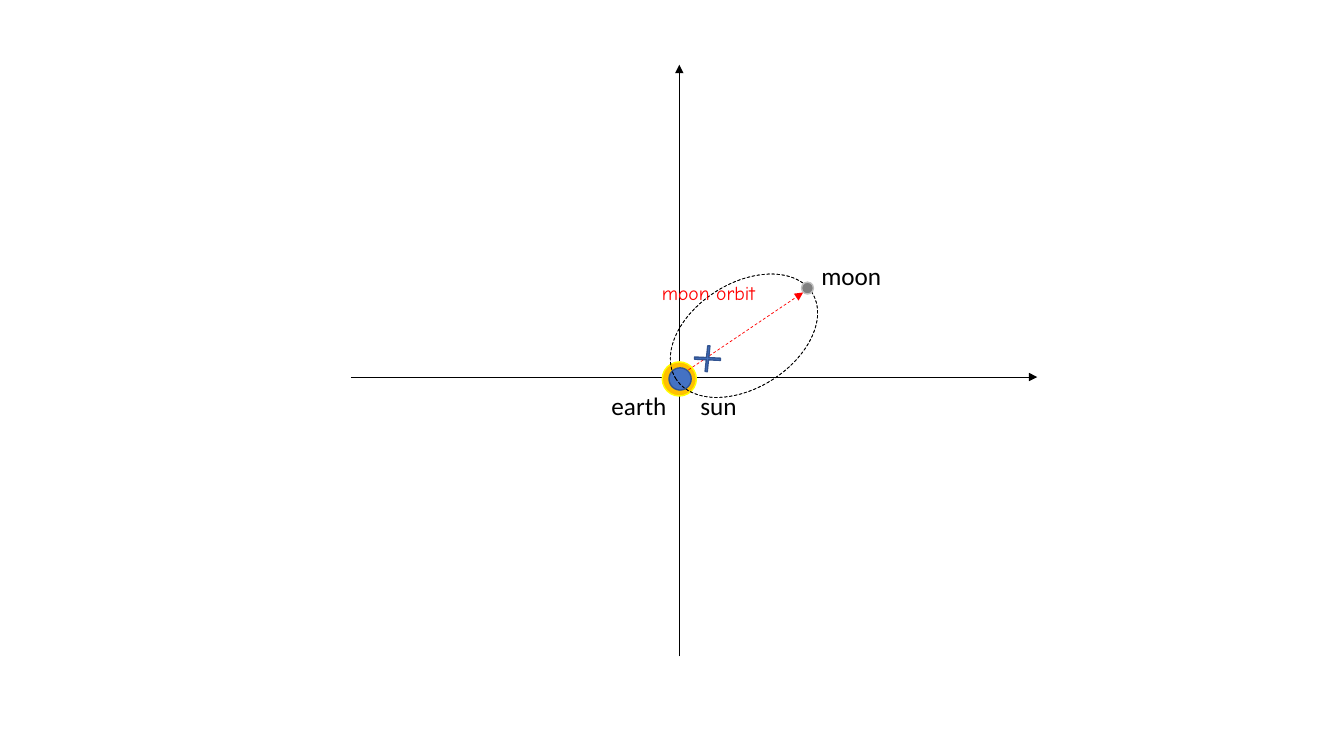
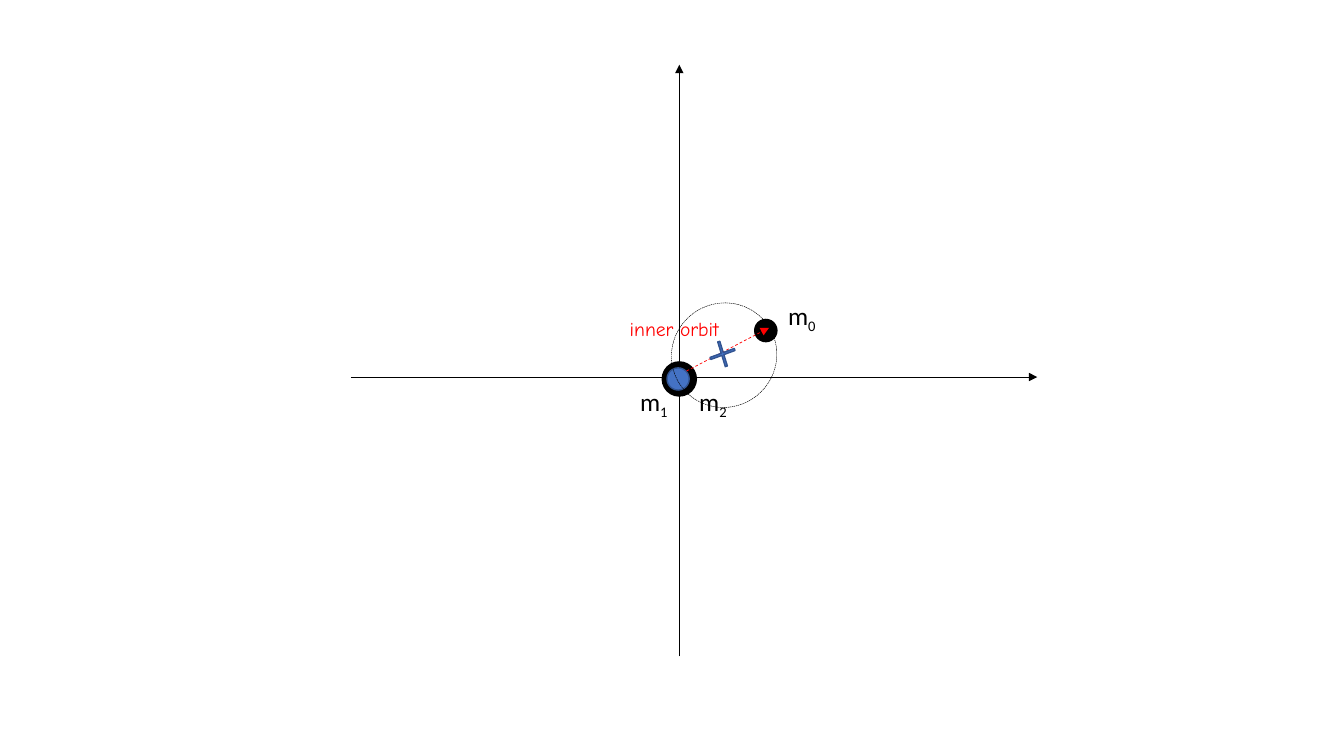
import pptx
import pptx.util
import pptx.dml.color
import pptx.enum.dml
import pptx.enum.shapes
import pptx.enum.text
import pptx.oxml
import pptx.oxml.ns

Cm = pptx.util.Cm
Pt = pptx.util.Pt
SHAPE = pptx.enum.shapes.MSO_SHAPE
DASH = pptx.enum.dml.MSO_LINE

# Shared style: colours, fonts and axes (lengths in cm)
COLOURS = {
    "black": "000000", "red": "FF0000", "blue": "4472C4", "navy": "325491",
    "gold": "FFC000", "yellow": "FFFF00", "grey": "808080", "silver": "BFBFBF",
}
LABEL_FONT = ("Calibri", 18, "black")
ORBIT_FONT = ("Comic Neue", 14, "red")
AXES = [((8.84, 9.5), (26.14, 9.5)), ((17.12, 16.54), (17.12, 1.63))]
ORBIT_TURN = 327.8
CROSS_SIZE = (0.86, 0.91)

# Content: bodies are (centre, diameter, fill, line),
# labels are (text, subscript, left, top, width)
SLIDES = [
    {
        "inner": [((17.12, 9.55), 0.86, "gold", "yellow"),
                  ((17.14, 9.55), 0.56, "blue", "navy")],
        "orbit": ((18.75, 8.46), (4.06, 2.64), 0.5, DASH.DASH),
        "outer": ((20.35, 7.26), 0.3, "grey", "silver"),
        "labels": [("sun", "", 17.4, 9.7, 1.45),
                   ("earth", "", 15.16, 9.7, 1.91),
                   ("moon", "", 20.45, 6.43, 2.03)],
        "orbit_name": ("moon orbit", "", 16.43, 6.96, 3.23),
        "arrow": ((17.35, 9.32), (20.24, 7.37)),
        "cross": ((17.83, 9.04), 49.3),
    },
    {
        "inner": [((17.12, 9.55), 0.86, "black", "black"),
                  ((17.09, 9.55), 0.56, "blue", "navy")],
        "orbit": ((18.25, 8.95), (2.67, 2.62), 0.25, DASH.DASH_DOT),
        "outer": ((19.3, 8.33), 0.56, "black", "black"),
        "labels": [("m", "2", 17.37, 9.6, 1.24),
                   ("m", "1", 15.88, 9.6, 1.24),
                   ("m", "0", 19.61, 7.44, 1.24)],
        "orbit_name": ("inner orbit", "", 15.62, 7.87, 3.1),
        "arrow": ((17.3, 9.35), (19.38, 8.26)),
        "cross": ((18.21, 8.92), 26.3),
    },
]


def colour(name):
    return pptx.dml.color.RGBColor.from_string(COLOURS[name])


def style_line(line, name, width, dash=None):
    line.color.rgb = colour(name)
    line.width = Pt(width)
    if dash is not None:
        line.dash_style = dash


def add_centred(page, kind, centre, size, fill, line, width=1, dash=None, turn=0):
    """Add a preset shape around its centre; fill None leaves it open."""
    (x, y), (wide, high) = centre, size
    shape = page.shapes.add_shape(
        kind, Cm(x - wide / 2), Cm(y - high / 2), Cm(wide), Cm(high))
    shape.shadow.inherit = False
    shape.rotation = turn
    if fill is None:
        shape.fill.background()
    else:
        shape.fill.solid()
        shape.fill.fore_color.rgb = colour(fill)
    style_line(shape.line, line, width, dash)
    return shape


def add_body(page, centre, diameter, fill, line):
    add_centred(page, SHAPE.OVAL, centre, (diameter, diameter), fill, line)


def add_arrow(page, start, end, name, dash=None):
    arrow = page.shapes.add_connector(
        pptx.enum.shapes.MSO_CONNECTOR.STRAIGHT,
        *(Cm(length) for length in start + end))
    style_line(arrow.line, name, 0.5, dash)
    head = pptx.oxml.parse_xml(
        f'<a:tailEnd {pptx.oxml.ns.nsdecls("a")} type="triangle"/>')
    arrow.get_or_add_ln().append(head)
    arrow._element.spPr.append(
        pptx.oxml.parse_xml(f'<a:effectLst {pptx.oxml.ns.nsdecls("a")}/>'))


def add_label(page, label, font, high, wrap):
    text, subscript, left, top, wide = label
    box = page.shapes.add_textbox(Cm(left), Cm(top), Cm(wide), Cm(high))
    frame = box.text_frame
    frame.word_wrap = wrap
    frame.auto_size = pptx.enum.text.MSO_AUTO_SIZE.SHAPE_TO_FIT_TEXT
    para = frame.paragraphs[0]
    para.text = text
    if subscript:
        span = para.add_run()
        span.text = subscript
        span.font._element.set("baseline", "-25000")
    family, size, name = font
    for span in para.runs:
        span.font.name = family
        span.font.size = Pt(size)
        span.font.color.rgb = colour(name)


def build_page(deck, content):
    page = deck.slides.add_slide(deck.slide_layouts[6])
    for start, end in AXES:
        add_arrow(page, start, end, "black")

    # Bodies and orbit
    for body in content["inner"]:
        add_body(page, *body)
    centre, size, width, dash = content["orbit"]
    orbit = add_centred(page, SHAPE.DONUT, centre, size, None, "black",
                        width, dash, ORBIT_TURN)
    orbit.adjustments[0] = 0
    add_body(page, *content["outer"])

    # Labels
    for label in content["labels"]:
        add_label(page, label, LABEL_FONT, 1.02, False)
    add_label(page, content["orbit_name"], ORBIT_FONT, 0.86, True)

    # Position arrow and centre of mass
    add_arrow(page, *content["arrow"], "red", DASH.DASH)
    centre, turn = content["cross"]
    cross = add_centred(page, SHAPE.MATH_MULTIPLY, centre, CROSS_SIZE,
                        "blue", "navy", turn=turn)
    cross.adjustments[0] = 0.064


def main():
    deck = pptx.Presentation()
    deck.slide_width, deck.slide_height = Cm(33.87), Cm(19.05)
    for content in SLIDES:
        build_page(deck, content)
    deck.save("out.pptx")


if __name__ == "__main__":
    main()
